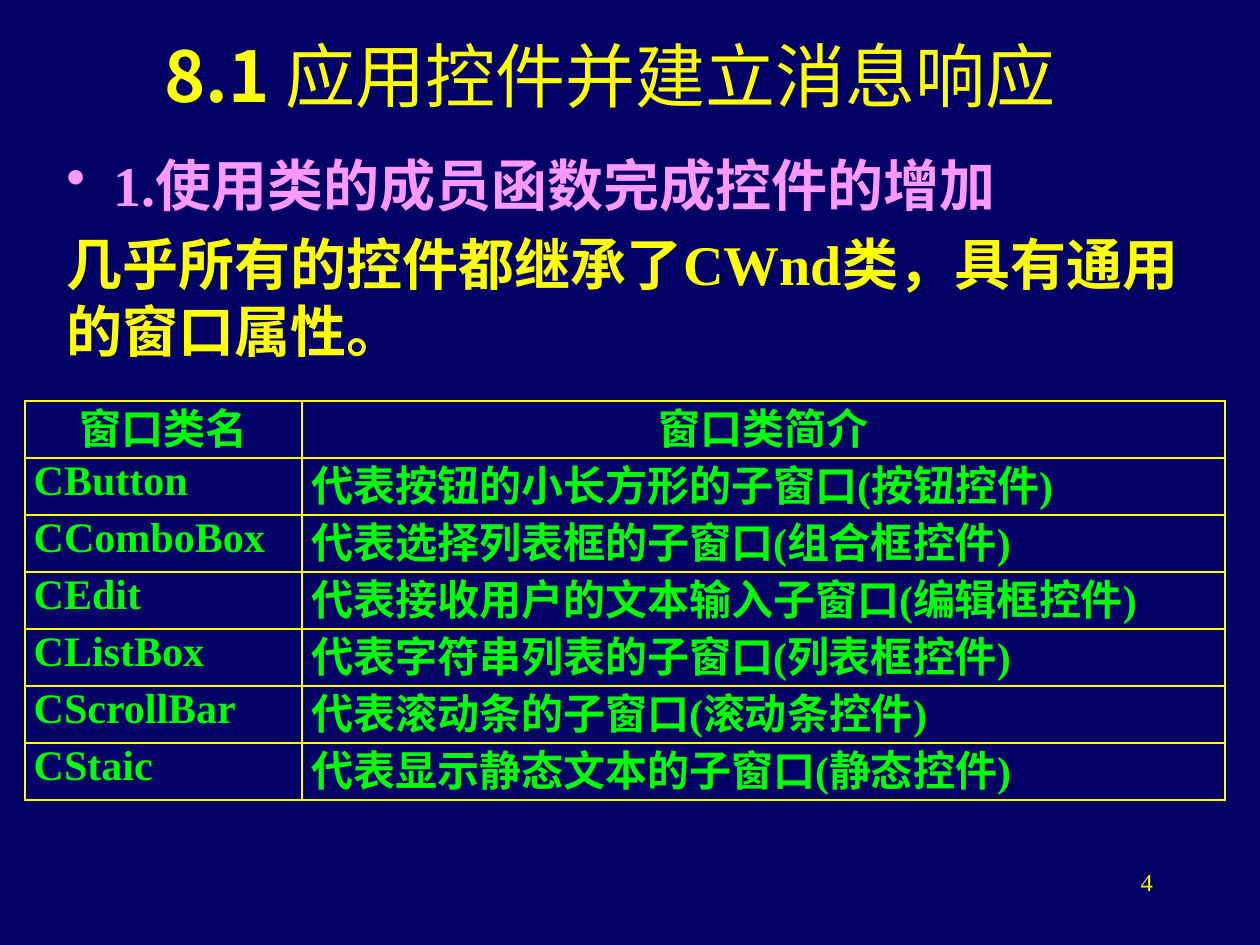
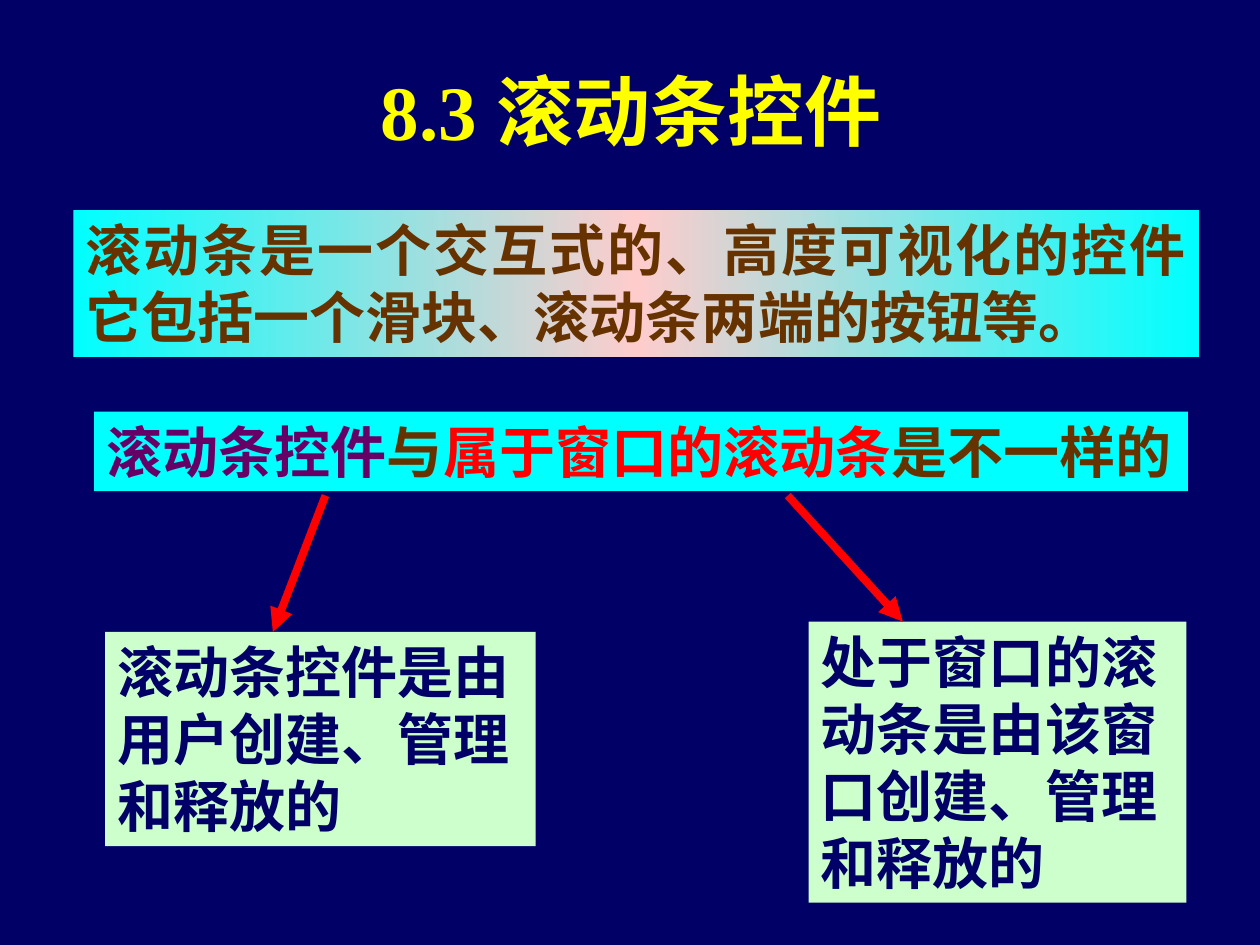
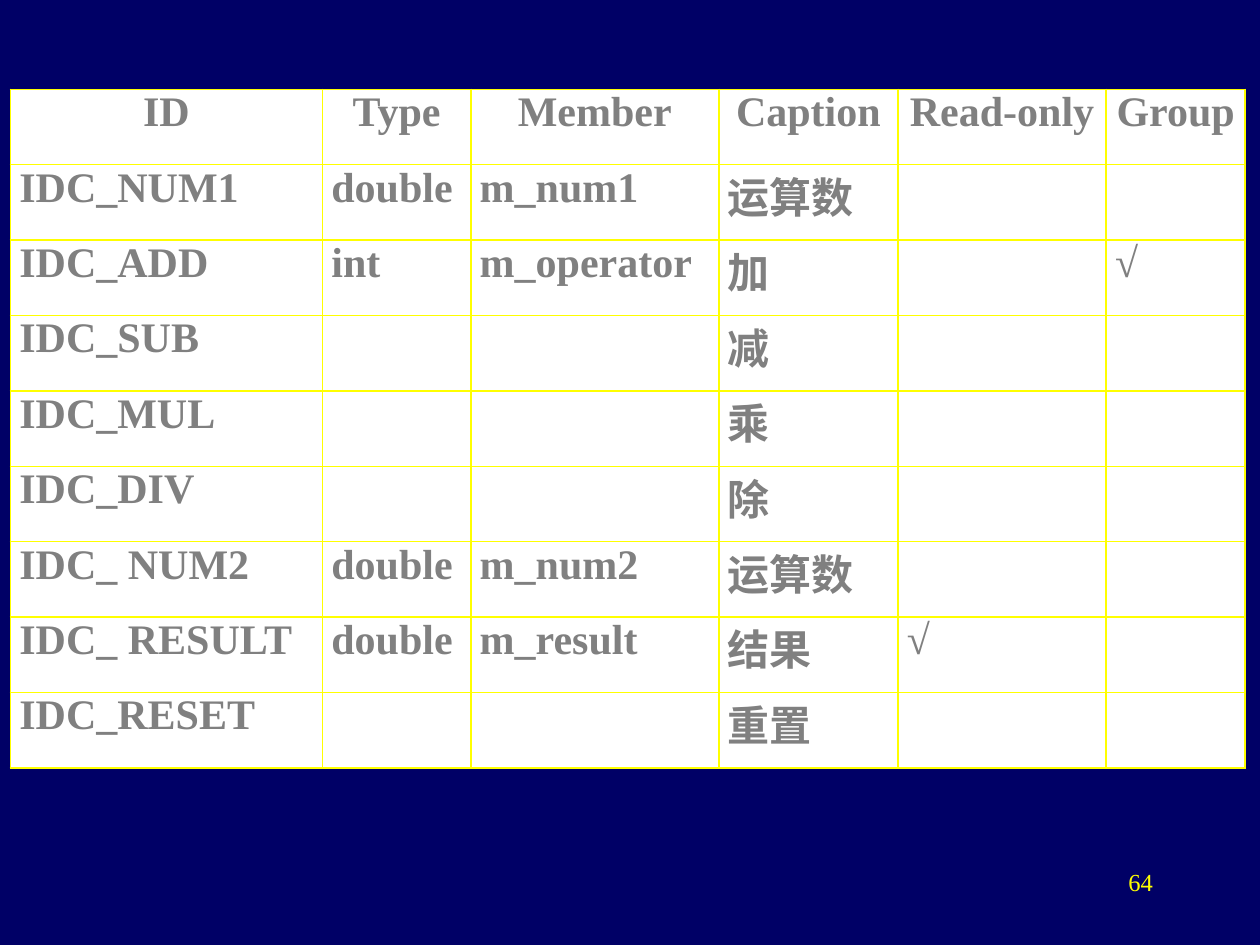
from copy import deepcopy

from pptx import Presentation
from pptx.dml.color import RGBColor
from pptx.enum.shapes import MSO_CONNECTOR, MSO_SHAPE
from pptx.enum.text import MSO_ANCHOR, PP_ALIGN
from pptx.oxml.ns import qn
from pptx.oxml.xmlchemy import OxmlElement
from pptx.util import Cm, Pt

HUES = {
    "navy": "000066", "yellow": "FFFF00", "pink": "FF99FF", "green": "00FF00",
    "cyan": "00FFFF", "rose": "FFCCCC", "brown": "663300", "plum": "660066",
    "red": "FF0000", "mint": "CCFFCC", "gray": "808080", "white": "FFFFFF",
}
TIMES, ARIAL, NOTO = "Times New Roman", "Arial", "Noto Sans CJK SC"
LEAD = Pt(38.3)

CLASSES = [
    ("窗口类名", "窗口类简介"),
    ("CButton", "代表按钮的小长方形的子窗口(按钮控件)"),
    ("CComboBox", "代表选择列表框的子窗口(组合框控件)"),
    ("CEdit", "代表接收用户的文本输入子窗口(编辑框控件)"),
    ("CListBox", "代表字符串列表的子窗口(列表框控件)"),
    ("CScrollBar", "代表滚动条的子窗口(滚动条控件)"),
    ("CStaic", "代表显示静态文本的子窗口(静态控件)"),
]
FIELDS = [
    ("ID", "Type", "Member", "Caption", "Read-only", "Group"),
    ("IDC_NUM1", "double", "m_num1", "运算数", "", ""),
    ("IDC_ADD", "int", "m_operator", "加", "", "√"),
    ("IDC_SUB", "", "", "减", "", ""),
    ("IDC_MUL", "", "", "乘", "", ""),
    ("IDC_DIV", "", "", "除", "", ""),
    ("IDC_ NUM2", "double", "m_num2", "运算数", "", ""),
    ("IDC_ RESULT", "double", "m_result", "结果", "√", ""),
    ("IDC_RESET", "", "", "重置", "", ""),
]


def rgb(hue):
    """Return the named colour."""
    return RGBColor.from_string(HUES[hue])


def style(run, size, hue, face, bold=True):
    """Format one run, with the shared East Asian face."""
    font = run.font
    font.size, font.bold, font.name = Pt(size), bold, face
    font.color.rgb = rgb(hue)
    asian = OxmlElement("a:ea")
    asian.set("typeface", NOTO)
    run.font._element.append(asian)


def write(para, parts, size, align=PP_ALIGN.LEFT, lead=None):
    """Fill a paragraph with (text, hue, face, bold) parts."""
    para.alignment = align
    if lead:
        para.line_spacing = lead
    for text, *look in parts:
        run = para.add_run()
        run.text = text
        style(run, size, *look)


def add_slide(deck):
    """Add a blank slide on the navy ground."""
    slide = deck.slides.add_slide(deck.slide_layouts[6])
    fill = slide.background.fill
    fill.solid()
    fill.fore_color.rgb = rgb("navy")
    return slide


def add_text(slide, spot, wrap=True):
    """Add an empty text box and return its frame."""
    frame = slide.shapes.add_textbox(*map(Cm, spot)).text_frame
    frame.word_wrap = wrap
    return frame


def add_title(slide, spot, parts, size, align, wrap=True):
    """Add a title centred on its height."""
    frame = add_text(slide, spot, wrap)
    frame.vertical_anchor = MSO_ANCHOR.MIDDLE
    write(frame.paragraphs[0], parts, size, align)
    return frame


def add_number(slide, text):
    """Add the page number at the lower right."""
    frame = add_text(slide, (18.2, 17.35, 5.29, 1.27))
    write(frame.paragraphs[0], [(text, "yellow", TIMES, False)], 14, PP_ALIGN.RIGHT)


def add_bullet(para):
    """Give a paragraph a round bullet and a hanging indent."""
    props = para._p.get_or_add_pPr()
    props.set("marL", str(Cm(0.95)))
    props.set("indent", str(-Cm(0.95)))
    mark = OxmlElement("a:buChar")
    mark.set("char", "•")
    props.append(mark)


def add_panel(slide, spot, fill, parts, align=PP_ALIGN.LEFT, wrap=True):
    """Add a filled box of large text; several hues make a gradient."""
    box = slide.shapes.add_shape(MSO_SHAPE.RECTANGLE, *map(Cm, spot))
    box.shadow.inherit = False
    box.line.fill.background()
    if len(fill) > 1:
        blend(box, fill)
    else:
        box.fill.solid()
        box.fill.fore_color.rgb = rgb(fill[0])
    frame = box.text_frame
    frame.word_wrap = wrap
    frame.vertical_anchor = MSO_ANCHOR.TOP
    looks = [(text, hue, ARIAL) for text, hue in parts]
    write(frame.paragraphs[0], looks, 32, align, LEAD)


def blend(box, hues):
    """Fill a box from left to right with evenly spaced hues."""
    box.fill.gradient()
    box.fill.gradient_angle = 0
    stops = box._element.xpath(".//a:gsLst")[0]
    for _ in hues[2:]:
        stops.append(deepcopy(stops[0]))
    for rank, (stop, hue) in enumerate(zip(box.fill.gradient_stops, hues)):
        stop.color.rgb = rgb(hue)
        stop.position = rank / (len(hues) - 1)


def add_arrow(slide, ends):
    """Add a thick red arrow."""
    arrow = slide.shapes.add_connector(MSO_CONNECTOR.STRAIGHT, *map(Cm, ends))
    arrow.line.color.rgb = rgb("red")
    arrow.line.width = Pt(4.5)
    head = OxmlElement("a:tailEnd")
    head.set("type", "triangle")
    props = arrow._element.spPr
    props.find(qn("a:ln")).append(head)
    props.append(OxmlElement("a:effectLst"))


def add_edges(cell):
    """Draw thin yellow borders round a cell."""
    props = cell._tc.get_or_add_tcPr()
    for side in "LRTB":
        edge = OxmlElement(f"a:ln{side}")
        edge.set("w", str(Pt(1)))
        paint = OxmlElement("a:solidFill")
        hue = OxmlElement("a:srgbClr")
        hue.set("val", HUES["yellow"])
        paint.append(hue)
        edge.append(paint)
        props.append(edge)


def add_grid(slide, left, top, widths, height, rows, hue, fill=None, lead=None):
    """Add a bordered table with a centred head row."""
    spot = (left, top, sum(widths), height * len(rows))
    table = slide.shapes.add_table(len(rows), len(widths), *map(Cm, spot)).table
    table.first_row = table.horz_banding = False
    for col, width in zip(table.columns, widths):
        col.width = Cm(width)
    for rank, texts in enumerate(rows):
        table.rows[rank].height = Cm(height)
        align = PP_ALIGN.JUSTIFY if rank else PP_ALIGN.CENTER
        for cell, text in zip(table.rows[rank].cells, texts):
            cell.margin_left = cell.margin_right = Cm(0.18)
            cell.margin_top = cell.margin_bottom = 0
            add_edges(cell)
            if fill:
                cell.fill.solid()
                cell.fill.fore_color.rgb = rgb(fill)
            else:
                cell.fill.background()
            if text:
                space = None if text.isascii() else lead
                para = cell.text_frame.paragraphs[0]
                write(para, [(text, hue, TIMES)], 24, align, space)


def show_classes(deck):
    """Build the slide on the window classes."""
    slide = add_slide(deck)
    body = add_text(slide, (1.09, 2.92, 23.6, 4.6))
    first, last = body.paragraphs[0], body.add_paragraph()
    add_bullet(first)
    last.space_before = Pt(6.4)
    write(first, [("1.使用类的成员函数完成控件的增加", "pink", TIMES)], 32, lead=LEAD)
    text = "几乎所有的控件都继承了CWnd类，具有通用的窗口属性。"
    write(last, [(text, "yellow", TIMES)], 32, lead=LEAD)
    add_number(slide, "4")
    parts = [("8.1 ", "yellow", NOTO), ("应用控件并建立消息响应", "yellow", TIMES, False)]
    title = add_title(slide, (3.07, 0.53, 19.05, 1.83), parts, 40, PP_ALIGN.LEFT, False)
    title.margin_bottom = 0
    add_grid(slide, 0.5, 8.08, (5.59, 18.6), 1.15, CLASSES, "green", lead=Pt(32))


def show_bars(deck):
    """Build the slide on the two kinds of scroll bar."""
    slide = add_slide(deck)
    parts = [("8.3 ", "yellow", TIMES), ("滚动条控件 ", "yellow", NOTO)]
    add_title(slide, (2.11, 0.84, 21.59, 2.74), parts, 44, PP_ALIGN.CENTER)
    text = "滚动条是一个交互式的、高度可视化的控件它包括一个滑块、滚动条两端的按钮等。"
    add_panel(slide, (1.48, 4.23, 22.69, 2.97), ("cyan", "rose", "cyan"),
              [(text, "brown")], PP_ALIGN.JUSTIFY)
    parts = [("滚动条控件", "plum"), ("与", "brown"),
             ("属于窗口的滚动条", "red"), ("是不一样的", "brown")]
    add_panel(slide, (1.9, 8.3, 22.05, 1.6), ("cyan",), parts, wrap=False)
    notes = [
        ((16.3, 12.53, 7.62, 5.67), "处于窗口的滚动条是由该窗口创建、管理和释放的"),
        ((2.12, 12.74, 8.68, 4.32), "滚动条控件是由用户创建、管理和释放的"),
    ]
    for spot, text in notes:
        add_panel(slide, spot, ("mint",), [(text, "navy")])
    for ends in [(6.56, 9.99, 5.5, 12.74), (15.88, 9.99, 18.2, 12.53)]:
        add_arrow(slide, ends)


def show_fields(deck):
    """Build the slide on the control fields."""
    slide = add_slide(deck)
    add_number(slide, "64")
    widths = (6.29, 2.99, 5, 3.61, 4.2, 2.8)
    add_grid(slide, 0.21, 1.8, widths, 1.52, FIELDS, "gray", "white")


def main():
    """Build and save the slides."""
    deck = Presentation()
    deck.slide_width, deck.slide_height = Cm(25.4), Cm(19.05)
    show_classes(deck)
    show_bars(deck)
    show_fields(deck)
    deck.save("out.pptx")


if __name__ == "__main__":
    main()
